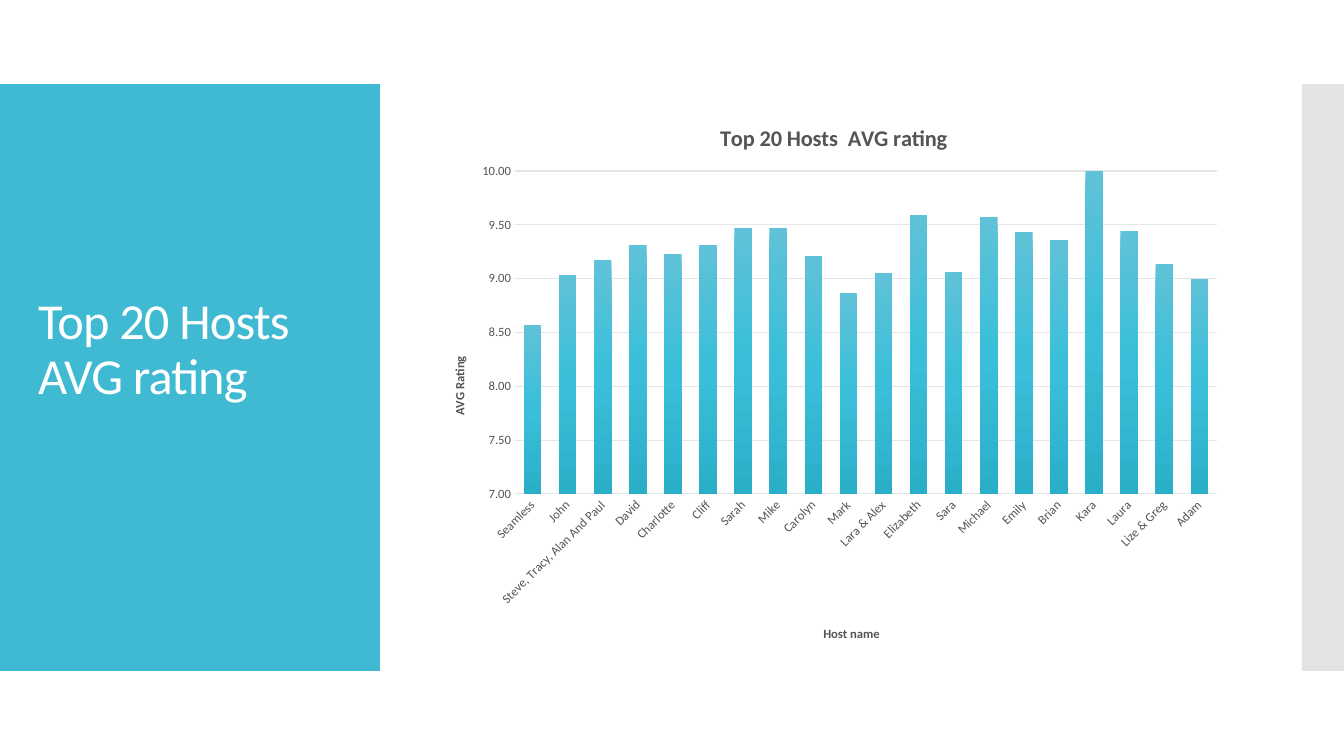
from lxml import etree
from pptx import Presentation
from pptx import util as u
from pptx.chart import data as d
from pptx.dml.color import RGBColor
from pptx.enum import chart as ch, shapes, text
from pptx.oxml import ns

TEAL = RGBColor(0x40, 0xBA, 0xD2)
GREY = RGBColor(0xC8, 0xC8, 0xC8)
INK = RGBColor(0x54, 0x54, 0x54)
RULE = RGBColor(0xE5, 0xE5, 0xE5)
WHITE = RGBColor(255, 255, 255)
STOPS = [(0, "5FC2D8"), (50, "39BFD9"), (100, "2AAFC9")]
LEFT, TOP, WIDE, HIGH = 426, 95, 806, 564

HOSTS = {
    "Seamless": 8.57, "John": 9.03, "Steve, Tracy, Alan And Paul": 9.17,
    "David": 9.31, "Charlotte": 9.23, "Cliff": 9.31, "Sarah": 9.47,
    "Mike": 9.47, "Carolyn": 9.21, "Mark": 8.87, "Lara & Alex": 9.05,
    "Elizabeth": 9.59, "Sara": 9.06, "Michael": 9.57, "Emily": 9.43,
    "Brian": 9.36, "Kara": 10, "Laura": 9.44, "Lize & Greg": 9.14, "Adam": 9,
}


def px(*vals):
    return [u.Emu(round(v * 914400 / 100.8)) for v in vals]


def place(node, after, x, y, w=None, h=None):
    for old in node.findall(ns.qn("c:layout")):
        node.remove(old)
    lay = etree.Element(ns.qn("c:layout"))
    man = etree.SubElement(lay, ns.qn("c:manualLayout"))
    vals = {"xMode": "edge", "yMode": "edge",
            "x": (x - LEFT) / WIDE, "y": (y - TOP) / HIGH}
    if w:
        vals = {"layoutTarget": "inner", **vals, "w": w / WIDE, "h": h / HIGH}
    for key, val in vals.items():
        part = etree.SubElement(man, ns.qn("c:" + key))
        part.set("val", val if isinstance(val, str) else f"{val:.4f}")
    if after is None:
        node.insert(0, lay)
    else:
        after.addnext(lay)


deck = Presentation()
deck.slide_width, deck.slide_height = px(1344, 756)
slide = deck.slides.add_slide(deck.slide_layouts[5])

for x, w, tint in [(0, 380, TEAL), (1302, 42, GREY)]:
    panel = slide.shapes.add_shape(shapes.MSO_SHAPE.RECTANGLE, *px(x, 84, w, 587))
    panel.shadow.inherit = False
    panel.fill.solid()
    panel.fill.fore_color.rgb = tint
    panel.line.fill.background()
shade = panel.fill._xPr.find(".//" + ns.qn("a:srgbClr"))
etree.SubElement(shade, ns.qn("a:alpha")).set("val", "50000")

title = slide.shapes.title
title.left, title.top, title.width, title.height = px(28, 124, 325, 507)
frame = title.text_frame
frame.text = "Top 20 Hosts AVG rating"
low, = px(59)
for key, val in {"word_wrap": True, "auto_size": text.MSO_AUTO_SIZE.NONE,
                 "vertical_anchor": text.MSO_ANCHOR.MIDDLE,
                 "margin_bottom": low}.items():
    setattr(frame, key, val)
para = frame.paragraphs[0]
para.alignment = text.PP_ALIGN.LEFT
para.line_spacing = 0.9
run = para.runs[0]
for key, val in {"size": u.Pt(36), "name": "Calibri"}.items():
    setattr(run.font, key, val)
run.font.color.rgb = WHITE
run.font._element.set("spc", "-60")
slide.shapes._spTree.append(title._element)

data = d.CategoryChartData(number_format="0.00")
data.categories = list(HOSTS)
data.add_series("Series 1", list(HOSTS.values()))
chart = slide.shapes.add_chart(ch.XL_CHART_TYPE.COLUMN_CLUSTERED,
                               *px(LEFT, TOP, WIDE, HIGH), data).chart
chart.has_legend = False
chart.font.size, chart.font.name = u.Pt(10), "Calibri"
cat, val = chart.category_axis, chart.value_axis

heads = [
    (chart, "chart_title", "Top 20 Hosts  AVG rating", 16, 716, 119),
    (cat, "axis_title", "Host name", 9, 821, 623),
    (val, "axis_title", "AVG Rating", 9, 449, 354),
]
for own, kind, words, size, x, y in heads:
    head = getattr(own, kind)
    head.text_frame.text = words
    font = head.text_frame.paragraphs[0].runs[0].font
    for key, new in {"size": u.Pt(size), "bold": True, "name": "Calibri"}.items():
        setattr(font, key, new)
    font.color.rgb = INK
    node = head._element
    place(node, node.find(ns.qn("c:tx")), x, y)
val.axis_title.text_frame._txBody.bodyPr.set("rot", "-5400000")

for axis in (cat, val):
    axis.major_tick_mark = axis.minor_tick_mark = ch.XL_TICK_MARK.NONE
    font = axis.tick_labels.font
    font.size, font.name = u.Pt(9), "Calibri"
    font.color.rgb = INK
cat._element.find(ns.qn("c:txPr")).find(ns.qn("a:bodyPr")).set("rot", "-2700000")
for key, new in {"minimum_scale": 7, "maximum_scale": 10, "major_unit": 0.5,
                 "has_major_gridlines": True}.items():
    setattr(val, key, new)
val.tick_labels.number_format = "0.00"
val.tick_labels.number_format_is_linked = False
val.format.line.fill.background()
for line in (cat.format.line, val.major_gridlines.format.line):
    line.width = u.Pt(0.75)
    line.color.rgb = RULE

plot = chart.plots[0]
for key, new in {"gap_width": 100, "overlap": -24, "vary_by_categories": False}.items():
    setattr(plot, key, new)
area = chart._chartSpace.find(".//" + ns.qn("c:plotArea"))
place(area, None, 515, 171, 702, 323)

fill = plot.series[0].format.fill
fill.gradient()
fill.gradient_angle = 270
stops = fill._xPr.find(".//" + ns.qn("a:gsLst"))
for old in list(stops):
    stops.remove(old)
for pos, tint in STOPS:
    stop = etree.SubElement(stops, ns.qn("a:gs"), pos=str(pos * 1000))
    etree.SubElement(stop, ns.qn("a:srgbClr"), val=tint)

deck.save("out.pptx")
